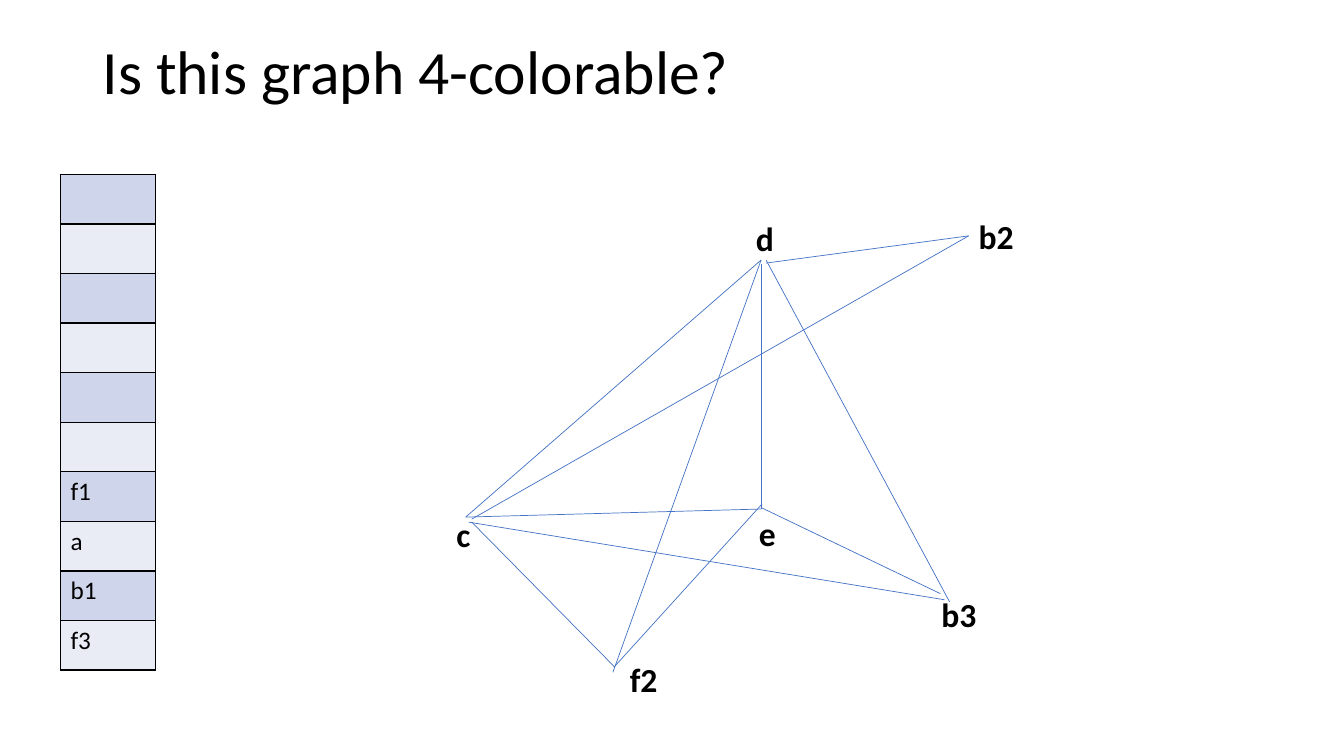
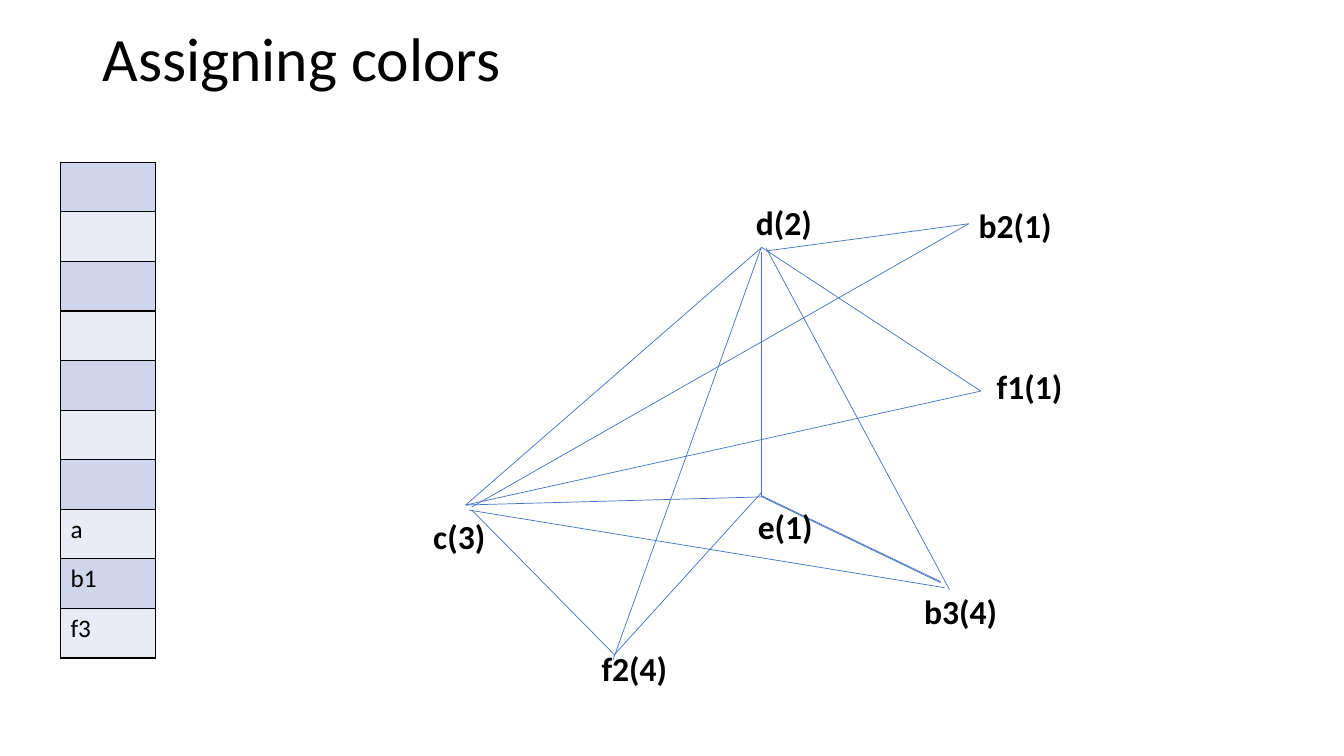
from typing import NamedTuple

from lxml import etree
from pptx import Presentation
from pptx.dml.color import RGBColor
from pptx.enum.shapes import MSO_CONNECTOR
from pptx.enum.text import MSO_ANCHOR
from pptx.oxml import parse_xml
from pptx.oxml.ns import nsdecls, qn
from pptx.util import Inches, Pt

# Grid of the slide: cells of a tenth of an inch
COLS, ROWS = 133.33, 75
CELL = Inches(0.1)

BLACK = RGBColor(0x00, 0x00, 0x00)
WHITE = RGBColor(0xFF, 0xFF, 0xFF)
EDGE = RGBColor(0x44, 0x72, 0xC4)
BANDS = (RGBColor(0xCF, 0xD5, 0xEA), RGBColor(0xE9, 0xEB, 0xF5))

TITLE_FONT = {"name": "Calibri", "size": Pt(44), "bold": False}
LABEL_FONT = {"name": "Calibri", "size": Pt(24), "bold": True}
CELL_FONT = {"name": "Calibri", "size": Pt(18), "bold": False}

STACK_SIZE = 10


class Edge(NamedTuple):
    x1: float
    y1: float
    x2: float
    y2: float


class Label(NamedTuple):
    text: str
    col: float
    row: float
    width: float = 8.7


class GraphSlide(NamedTuple):
    title: str
    rise: float  # rows by which everything sits higher
    stack: list[str]  # lowest entries of the stack
    edges: list[Edge]
    labels: list[Label]


# Edges found on both slides
SHARED_EDGES = [
    Edge(46.2, 51.3, 75.5, 25.8),  # c-d
    Edge(75.5, 26.2, 75.5, 50.5),  # d-e
    Edge(46.2, 51.3, 75.5, 50.5),  # c-e
    Edge(46.8, 51.5, 96.1, 23.4),  # c-b2
    Edge(76, 26.1, 96.1, 23.4),  # d-b2
    Edge(75.6, 50.4, 93.3, 58.9),  # e-b3
    Edge(46.5, 51.8, 93.7, 59.5),  # c-b3
    Edge(76, 25.8, 94.2, 59.7),  # d-b3
    Edge(75.5, 25.8, 60.8, 66.7),  # d-f2
    Edge(46.8, 51.8, 61, 66.2),  # c-f2
    Edge(75.6, 50, 60.9, 66.2),  # e-f2
]
F1_EDGES = [
    Edge(75.5, 25.7, 97.3, 40),  # d-f1
    Edge(46.2, 51.3, 97.3, 40),  # c-f1
    Edge(75.6, 50.5, 93.3, 59),  # e-b3, second stroke
]

SLIDES = [
    GraphSlide("Is this graph 4-colorable?", 0, ["f1", "a", "b1", "f3"], SHARED_EDGES, [
        Label("d", 74, 21.1), Label("e", 74.3, 50.4), Label("c", 44.3, 50.5),
        Label("b3", 92.4, 58.4), Label("b2", 96.1, 20.9), Label("f2", 61.5, 64.9),
    ]),
    GraphSlide("Assigning colors", 1.2, ["a", "b1", "f3"], SHARED_EDGES + F1_EDGES, [
        Label("d(2)", 74, 20.7), Label("e(1)", 74.2, 50.9), Label("c(3)", 42, 51.9),
        Label("b3(4)", 90.7, 59.3, 12.4), Label("b2(1)", 96.1, 21, 12.4),
        Label("f1(1)", 97.9, 37), Label("f2(4)", 58.7, 65),
    ]),
]


def cells(n: float) -> int:
    return round(n * CELL)


def write(tf, text: str, fmt: dict):
    p = tf.paragraphs[0]
    r = p.add_run()
    r.text = text
    for key, value in fmt.items():
        setattr(r.font, key, value)
    r.font.color.rgb = BLACK
    return p


def add_text(s, text: str, box: tuple, fmt: dict, anchor=MSO_ANCHOR.TOP):
    tf = s.shapes.add_textbox(*map(cells, box)).text_frame
    tf.word_wrap = True
    tf.vertical_anchor = anchor
    return write(tf, text, fmt)


def add_edge(s, edge: Edge, rise: float) -> None:
    ends = (edge.x1, edge.y1 - rise, edge.x2, edge.y2 - rise)
    line = s.shapes.add_connector(MSO_CONNECTOR.STRAIGHT, *map(cells, ends))
    line.line.color.rgb = EDGE
    line.line.width = Pt(0.5)
    etree.SubElement(line._element.spPr, qn("a:effectLst"))


def add_borders(cell) -> None:
    tc_pr = cell._tc.get_or_add_tcPr()
    for i, side in enumerate("LRTB"):
        tc_pr.insert(i, parse_xml(
            f'<a:ln{side} {nsdecls("a")} w="{Pt(1)}"><a:solidFill>'
            f'<a:srgbClr val="{BLACK}"/></a:solidFill></a:ln{side}>'))


def add_stack(s, entries: list[str], rise: float) -> None:
    box = map(cells, (6, 17.3 - rise, 9.4, 49.2))
    table = s.shapes.add_table(STACK_SIZE, 1, *box).table
    table.first_row = table.horz_banding = False
    first = STACK_SIZE - len(entries)
    for i in range(STACK_SIZE):
        cell = table.cell(i, 0)
        cell.fill.solid()
        cell.fill.fore_color.rgb = BANDS[i % 2]
        add_borders(cell)
        if i >= first:
            write(cell.text_frame, entries[i - first], CELL_FONT)


def build(prs, spec_: GraphSlide) -> None:
    s = prs.slides.add_slide(prs.slide_layouts[6])
    s.background.fill.solid()
    s.background.fill.fore_color.rgb = WHITE
    # Title
    box = (9.2, 0.1 - spec_.rise, 115, 14.5)
    add_text(s, spec_.title, box, TITLE_FONT, MSO_ANCHOR.MIDDLE).line_spacing = 0.9
    # Graph
    for edge in spec_.edges:
        add_edge(s, edge, spec_.rise)
    for label in spec_.labels:
        add_text(s, label.text, (label.col, label.row - spec_.rise, label.width, 5), LABEL_FONT)
    # Stack of removed nodes
    add_stack(s, spec_.stack, spec_.rise)


def main() -> None:
    prs = Presentation()
    prs.slide_width, prs.slide_height = cells(COLS), cells(ROWS)
    for graph in SLIDES:
        build(prs, graph)
    prs.save("out.pptx")


if __name__ == "__main__":
    main()
